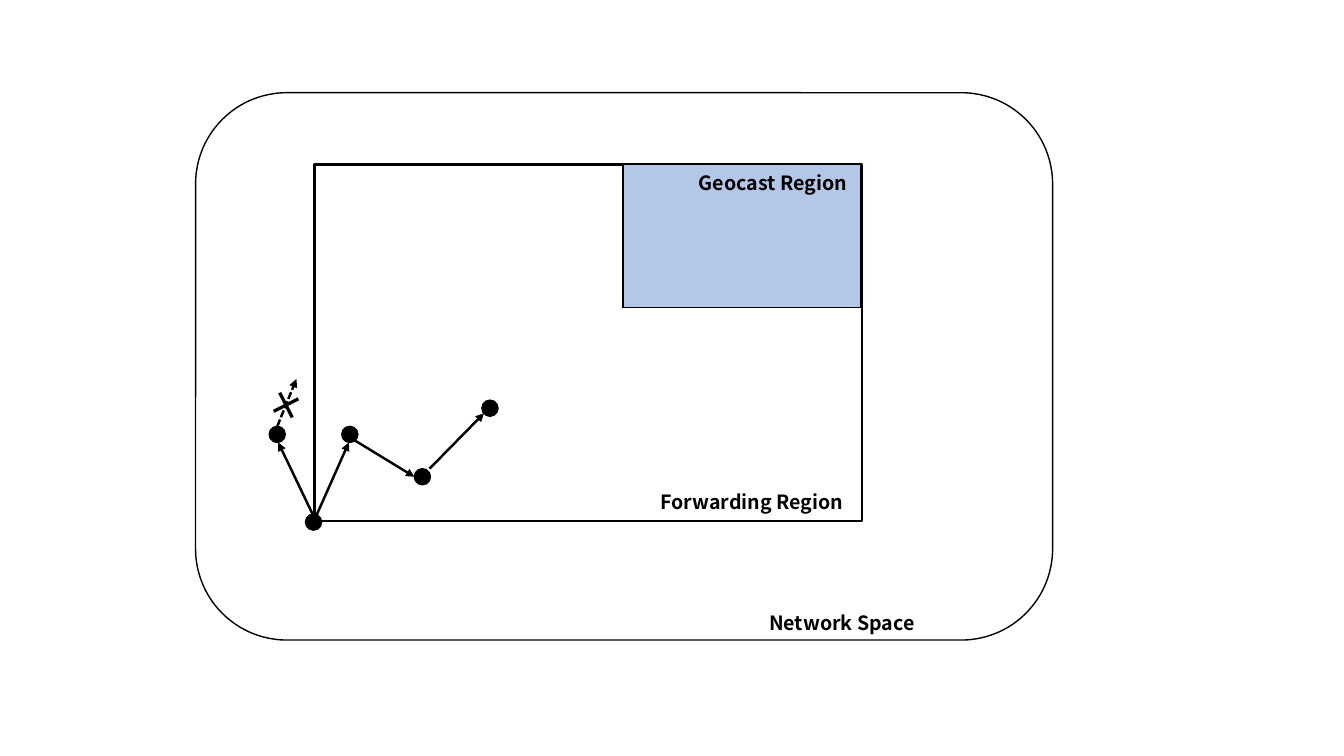
from lxml import etree
from pptx import Presentation
from pptx.dml.color import RGBColor
from pptx.enum.dml import MSO_LINE
from pptx.enum.shapes import MSO_CONNECTOR, MSO_SHAPE
from pptx.enum.text import MSO_AUTO_SIZE
from pptx.oxml.ns import qn
from pptx.util import Pt

PX = 9144
BLACK = RGBColor(0x00, 0x00, 0x00)
WHITE = RGBColor(0xFF, 0xFF, 0xFF)
BLUE = RGBColor(0xB4, 0xC7, 0xE7)
RECT = MSO_SHAPE.RECTANGLE
ROUND = MSO_SHAPE.ROUNDED_RECTANGLE
OVAL = MSO_SHAPE.OVAL
LINE = MSO_CONNECTOR.STRAIGHT
DASH = MSO_LINE.SQUARE_DOT
FIT = MSO_AUTO_SIZE.SHAPE_TO_FIT_TEXT


class Board:
    font = "Noto Sans CJK JP"
    ink = BLACK

    def __init__(self, slide):
        self.shapes = slide.shapes

    def scale(self, *sizes):
        return [size * PX for size in sizes]

    def shape(self, kind, box, fill, width=1):
        shape = self.shapes.add_shape(kind, *self.scale(*box))
        shape.shadow.inherit = False
        shape.fill.solid()
        shape.fill.fore_color.rgb = fill
        shape.line.color.rgb = self.ink
        shape.line.width = Pt(width)

    def node(self, left, top):
        self.shape(OVAL, (left, top, 16, 16), self.ink)

    def arrow(self, start, end, dash=None):
        arrow = self.shapes.add_connector(LINE, *self.scale(*start, *end))
        arrow.line.color.rgb = self.ink
        arrow.line.width = Pt(1.75)
        if dash:
            arrow.line.dash_style = dash
        props = arrow._element.spPr
        etree.SubElement(props.find(qn("a:ln")), qn("a:tailEnd"), type="triangle")
        etree.SubElement(props, qn("a:effectLst"))

    def label(self, text, box, size=14, wrap=True, turn=0):
        label = self.shapes.add_textbox(*self.scale(*box))
        label.rotation = turn
        frame = label.text_frame
        frame.word_wrap = wrap
        frame.auto_size = FIT
        frame.text = text
        run = frame.paragraphs[0].runs[0]
        run.font.size = Pt(size)
        run.font.bold = True
        run.font.color.rgb = self.ink
        run.font.name = self.font
        etree.SubElement(run.font._element, qn("a:ea"), typeface=self.font)


def main():
    deck = Presentation()
    deck.slide_width = 1333 * PX
    deck.slide_height = 750 * PX
    board = Board(deck.slides.add_slide(deck.slide_layouts[6]))

    board.shape(ROUND, (194, 92, 850, 543), WHITE)
    board.shape(RECT, (312, 163, 543, 354), WHITE, 2)
    board.shape(RECT, (618, 163, 236, 142), BLUE)

    for spot in ((303, 510), (339, 423), (267, 423), (411, 465), (478, 397)):
        board.node(*spot)

    hops = (
        ((314, 511), (346, 439)),
        ((310, 510), (276, 439)),
        ((352, 437), (411, 473)),
        ((426, 465), (480, 410)),
    )
    for start, end in hops:
        board.arrow(start, end)
    board.arrow((275, 423), (294, 376), DASH)

    board.label("×", (258, 377, 54, 50), 24, False, 18.1)
    board.label("Geocast Region", (683, 165, 182, 34))
    board.label("Forwarding Region", (645, 481, 253, 34))
    board.label("Network Space", (753, 601, 253, 34))

    deck.save("out.pptx")


if __name__ == "__main__":
    main()
